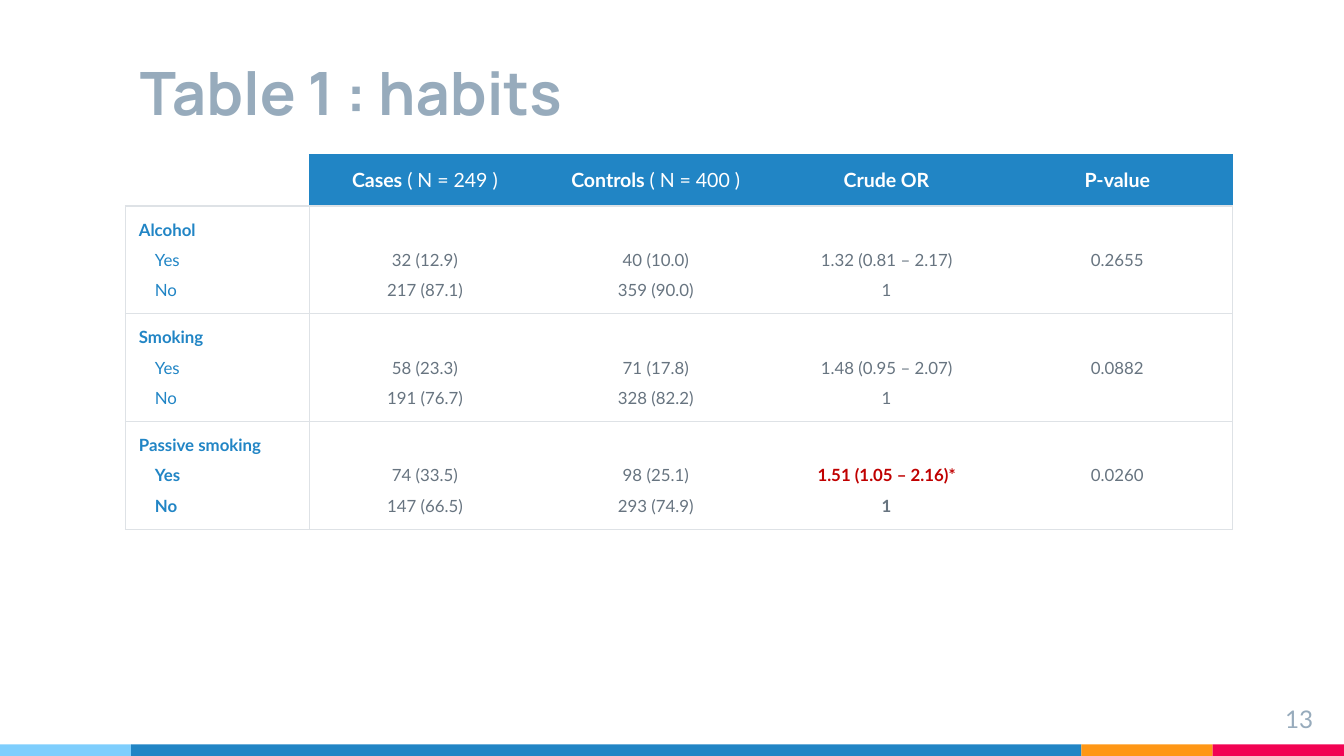
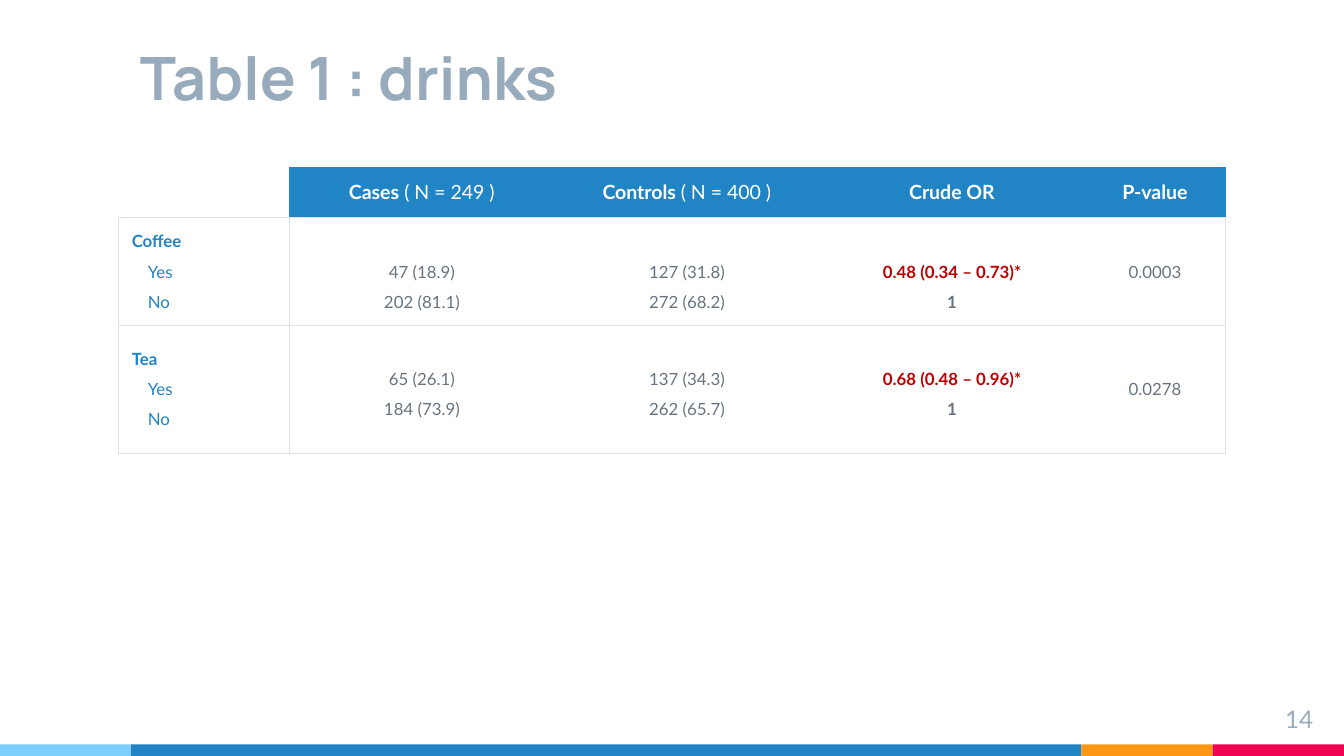
from lxml import etree
from pptx import Presentation
from pptx.dml.color import RGBColor
from pptx.enum import shapes, text
from pptx.oxml import ns
from pptx.util import Pt

WIDTH, HEIGHT = 720, 405
BLUE, SKY, ORANGE, PINK = "2185C5", "7ECEFD", "FF9715", "F20253"
TITLE_GREY, TEXT_GREY, LINE_GREY = "97ABBC", "677480", "DEE2E6"
WHITE, RED = "FFFFFF", "C00000"
INSET = 7.2
LINE = 10.8
HALF_LINE = LINE / 2
BAND_TOP = 398.8
BAND_END = 70.3
CENTER = text.PP_ALIGN.CENTER
HEADINGS = [
    [("Cases", True), (" ( N = 249 )", False)],
    [("Controls ", True), ("( N = 400 )", False)],
    [("Crude OR", True)],
    [("P-value", True)],
]


def color(value):
    return RGBColor.from_string(value)


def add_span(para, words, size, ink, bold=False, face="Lato"):
    span = para.add_run()
    span.text = words
    span.font.name = face
    span.font.size = Pt(size)
    span.font.bold = bold
    span.font.color.rgb = color(ink)


def set_insets(target, top=INSET, rest=INSET):
    target.margin_top = Pt(top)
    target.margin_left = target.margin_right = target.margin_bottom = Pt(rest)


def add_band(page):
    edges = [0, BAND_END, WIDTH - 2 * BAND_END, WIDTH - BAND_END, WIDTH]
    for left, right, fill in zip(edges, edges[1:], [SKY, BLUE, ORANGE, PINK]):
        box = page.shapes.add_shape(
            shapes.MSO_SHAPE.RECTANGLE,
            Pt(left), Pt(BAND_TOP), Pt(right - left), Pt(HEIGHT - BAND_TOP))
        box.shadow.inherit = False
        box.fill.solid()
        box.fill.fore_color.rgb = color(fill)
        box.line.fill.background()


def add_title(page, words, top):
    box = page.shapes.title
    box.left, box.top, box.width, box.height = Pt(67.7), Pt(top), Pt(509), Pt(67.7)
    frame = box.text_frame
    frame.word_wrap = True
    frame.auto_size = text.MSO_AUTO_SIZE.NONE
    frame.vertical_anchor = text.MSO_ANCHOR.BOTTOM
    set_insets(frame)
    para = frame.paragraphs[0]
    para.alignment = text.PP_ALIGN.LEFT
    add_span(para, words, 32, TITLE_GREY, True, "Manrope")


def add_page_number(page, number):
    box = page.shapes.add_textbox(Pt(667.4), Pt(370), Pt(43.2), Pt(24.5))
    frame = box.text_frame
    frame.word_wrap = True
    set_insets(frame)
    para = frame.paragraphs[0]
    para.alignment = text.PP_ALIGN.RIGHT
    add_span(para, str(number), 13, TITLE_GREY)


def set_borders(cell, **edges):
    properties = cell._tc.get_or_add_tcPr()
    for place, side in enumerate(["left", "right", "top", "bottom"]):
        line = etree.Element(ns.qn("a:ln" + side[0].upper()), w=str(Pt(0.75)))
        if edges.get(side):
            fill = etree.SubElement(line, ns.qn("a:solidFill"))
            etree.SubElement(fill, ns.qn("a:srgbClr"), val=edges[side])
        else:
            etree.SubElement(line, ns.qn("a:noFill"))
        properties.insert(place, line)


def format_cell(cell, fill=None, top=INSET):
    cell.vertical_anchor = text.MSO_ANCHOR.MIDDLE
    set_insets(cell, top)
    if fill:
        cell.fill.solid()
        cell.fill.fore_color.rgb = color(fill)
    else:
        cell.fill.background()


def fill_heading(cell, parts, first, last):
    format_cell(cell, BLUE)
    set_borders(cell, top=BLUE, bottom=LINE_GREY,
                left=BLUE if first else None, right=BLUE if last else None)
    para = cell.text_frame.paragraphs[0]
    para.alignment = CENTER
    for words, bold in parts:
        add_span(para, words, 10.5, WHITE, bold)


def fill_habit(cell, habit, bold_answers):
    format_cell(cell)
    set_borders(cell, left=LINE_GREY, right=LINE_GREY, top=LINE_GREY, bottom=LINE_GREY)
    frame = cell.text_frame
    add_span(frame.paragraphs[0], habit, 9, BLUE, True)
    for answer in ["Yes", "No"]:
        para = frame.add_paragraph()
        para.line_spacing = 1.5
        para._p.get_or_add_pPr().set("marL", str(Pt(8.6)))
        add_span(para, answer, 9, BLUE, bold_answers)


def fill_values(cell, values, first, last, aligned):
    paired = len(values) > 1
    lead = paired * (HALF_LINE + aligned * LINE)
    format_cell(cell, top=INSET + lead)
    set_borders(cell, top=LINE_GREY, bottom=LINE_GREY,
                left=LINE_GREY if first else None, right=LINE_GREY if last else None)
    significant = values[0].endswith("*")
    frame = cell.text_frame
    for place, value in enumerate(values):
        para = frame.add_paragraph() if place else frame.paragraphs[0]
        para.alignment = CENTER
        if place:
            para.line_spacing = 1.5
        ink = RED if significant and not place else TEXT_GREY
        add_span(para, value, 9, ink, significant)


def add_odds_table(page, left, top, widths, heights, habits):
    frame = page.shapes.add_table(
        len(heights), len(widths), Pt(left), Pt(top), Pt(sum(widths)), Pt(sum(heights)))
    table = frame.table
    table.first_row = table.horz_banding = False
    for column, width in zip(table.columns, widths):
        column.width = Pt(width)
    for row, height in zip(table.rows, heights):
        row.height = Pt(height)
    corner = table.cell(0, 0)
    format_cell(corner)
    set_insets(corner, 0, 0)
    set_borders(corner, right=BLUE, bottom=LINE_GREY)
    last = len(HEADINGS)
    for column, parts in enumerate(HEADINGS, 1):
        fill_heading(table.cell(0, column), parts, column == 1, column == last)
    for row, (habit, bold_answers, aligned, *columns) in enumerate(habits, 1):
        fill_habit(table.cell(row, 0), habit, bold_answers)
        for column, values in enumerate(columns, 1):
            fill_values(table.cell(row, column), values,
                        column == 1, column == last, aligned)


def add_page(deck, title, title_top, number):
    page = deck.slides.add_slide(deck.slide_layouts[5])
    add_band(page)
    add_title(page, title, title_top)
    add_page_number(page, number)
    return page


def main():
    deck = Presentation()
    deck.slide_width, deck.slide_height = Pt(WIDTH), Pt(HEIGHT)

    page = add_page(deck, "Table 1 : habits", 8, 13)
    add_odds_table(page, 67.2, 83, [98.6] + [123.65] * 4, [27.4] + [57.6] * 3, [
        ("Alcohol", False, True, ["32 (12.9)", "217 (87.1)"], ["40 (10.0)", "359 (90.0)"],
         ["1.32 (0.81 – 2.17)", "1"], ["0.2655"]),
        ("Smoking", False, True, ["58 (23.3)", "191 (76.7)"], ["71 (17.8)", "328 (82.2)"],
         ["1.48 (0.95 – 2.07)", "1"], ["0.0882"]),
        ("Passive smoking", True, True, ["74 (33.5)", "147 (66.5)"],
         ["98 (25.1)", "293 (74.9)"], ["1.51 (1.05 – 2.16)*", "1"], ["0.0260"]),
    ])

    page = add_page(deck, "Table 1 : drinks", 0, 14)
    add_odds_table(page, 63.4, 89.6, [91.6] + [142] * 3 + [75.6], [27, 57.6, 68.4], [
        ("Coffee", False, True, ["47 (18.9)", "202 (81.1)"], ["127 (31.8)", "272 (68.2)"],
         ["0.48 (0.34 – 0.73)*", "1"], ["0.0003"]),
        ("Tea", False, False, ["65 (26.1)", "184 (73.9)"], ["137 (34.3)", "262 (65.7)"],
         ["0.68 (0.48 – 0.96)*", "1"], ["0.0278"]),
    ])
    deck.save("out.pptx")


if __name__ == "__main__":
    main()
